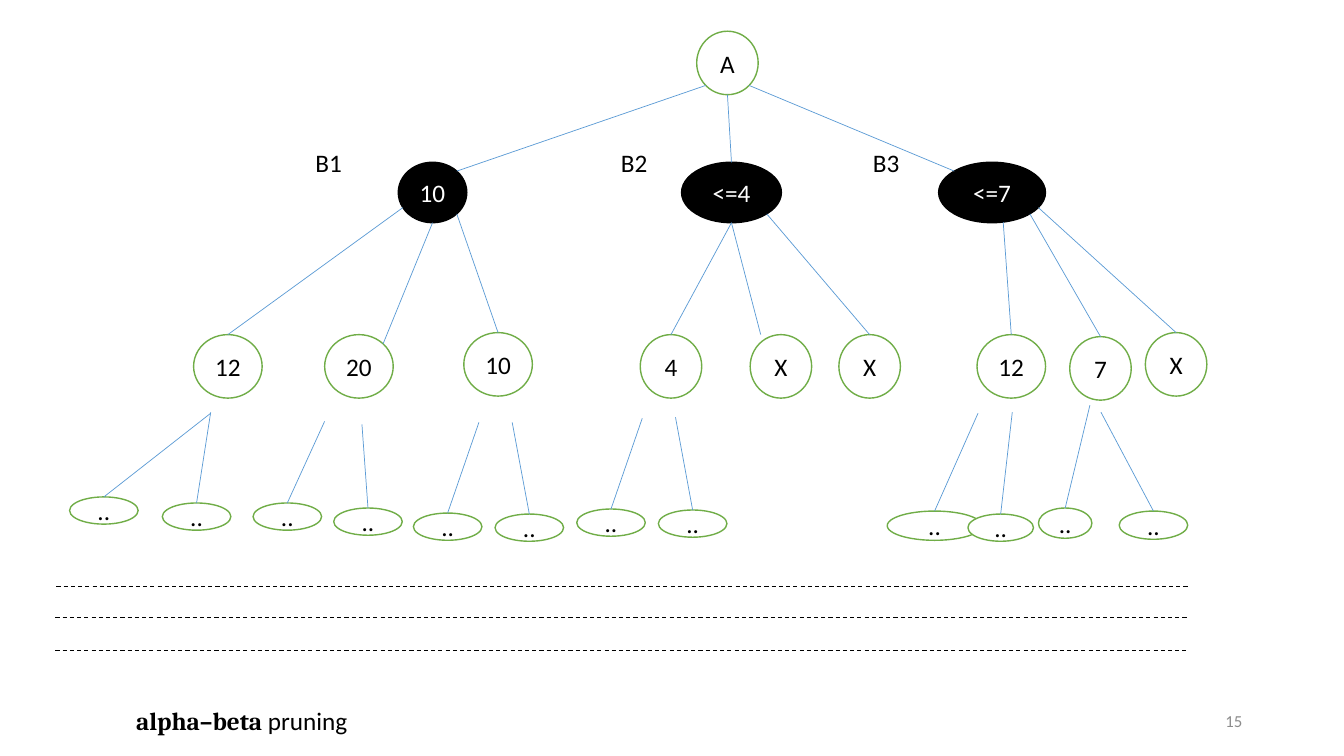
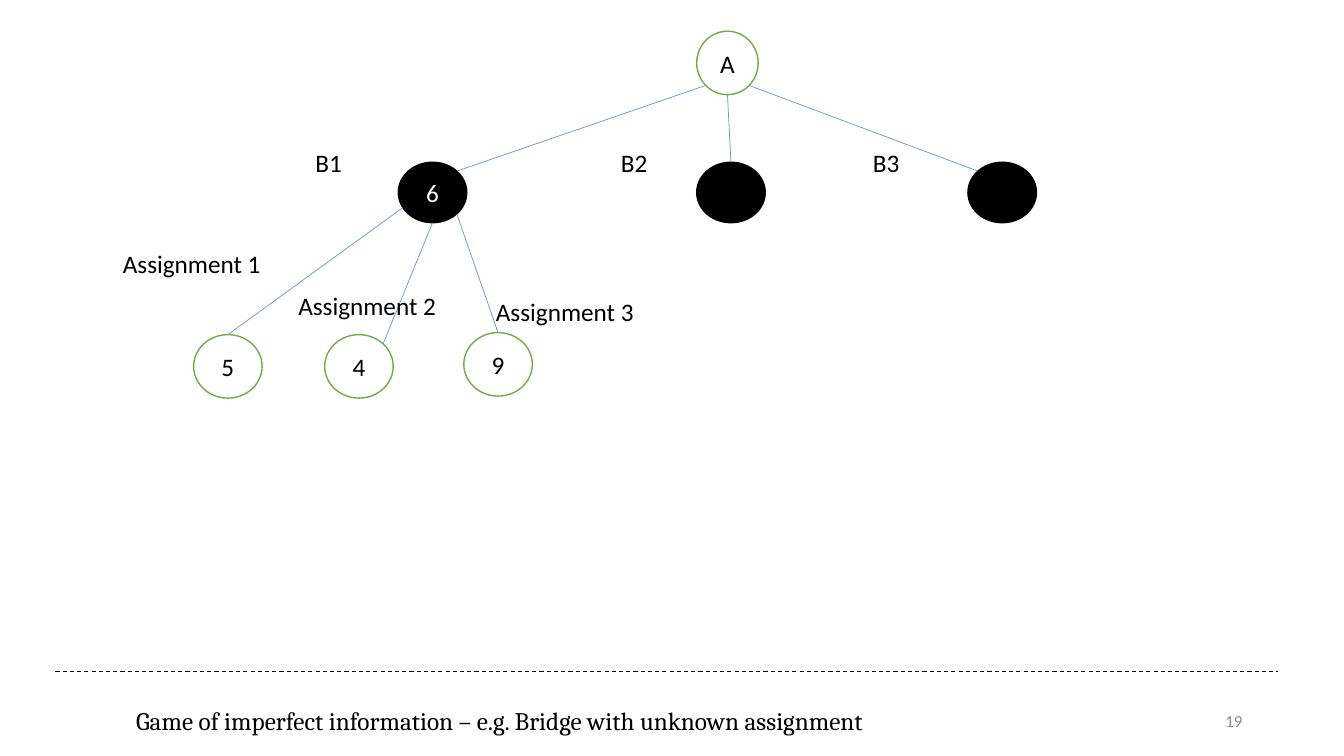
import math
from dataclasses import dataclass

import lxml.etree
import pptx
import pptx.dml.color
import pptx.enum.dml
import pptx.enum.shapes
import pptx.enum.text
import pptx.oxml.ns
import pptx.util
from pptx.util import Inches

BLACK = pptx.dml.color.RGBColor(0x00, 0x00, 0x00)
WHITE = pptx.dml.color.RGBColor(0xFF, 0xFF, 0xFF)
GREEN = pptx.dml.color.RGBColor(0x70, 0xAD, 0x47)
BLUE = pptx.dml.color.RGBColor(0x5B, 0x9B, 0xD5)
GREY = pptx.dml.color.RGBColor(0x8C, 0x8C, 0x8C)
SANS = "Calibri"
SERIF = "Cambria"
ALIGN = pptx.enum.text.PP_ALIGN
ANCHOR = pptx.enum.text.MSO_ANCHOR

ROOT_BOX = (6.91, 0.31, 0.61, 0.63)
BRANCH_TOP = 1.41
MIN_NODE_DROP = 0.2
MIN_NODE_HEIGHT = 0.6
CHILD_HEIGHT = 0.63
TEXT_HEIGHT = 0.4
FOOTER_TOP = 6.95

RIGHT_LOW, RIGHT, STRAIGHT, LEFT_LOW = 30, 45, 90, 150


@dataclass
class Child:
    text: str
    left: float
    drop: float
    width: float
    leave_angle: float
    end_shift: tuple = (0, 0)


@dataclass
class Branch:
    label: str
    left: float
    label_left: float
    node_text: str
    node_left: float
    node_width: float
    root_angle: float
    node_angle: float
    children: tuple = ()
    leaves: tuple = ()


def first_branch(value, child_values):
    first, second, third = child_values
    children = (
        Child(first, 0, 1.91, 0.68, LEFT_LOW),
        Child(second, 1.3, 1.91, 0.68, STRAIGHT, (0.24, 0.09)),
        Child(third, 2.68, 1.89, 0.68, RIGHT),
    )
    return Branch("B1", 1.92, 1.11, value, 2.03, 0.68, 135, 315, children)


def rim_point(box, angle):
    left, top, width, height = box
    radians = math.radians(angle)
    return (left + width / 2 * (1 + math.cos(radians)),
            top + height / 2 * (1 + math.sin(radians)))


def set_font(paragraph, name, size, color):
    paragraph.font.name = name
    paragraph.font.size = pptx.util.Pt(size)
    paragraph.font.color.rgb = color


def add_line(slide, start, end, color, width, dash=None):
    line = slide.shapes.add_connector(
        pptx.enum.shapes.MSO_CONNECTOR.STRAIGHT,
        *(Inches(value) for value in (*start, *end)))
    line.line.color.rgb = color
    line.line.width = pptx.util.Pt(width)
    if dash is not None:
        line.line.dash_style = dash
    lxml.etree.SubElement(line._element.spPr, pptx.oxml.ns.qn("a:effectLst"))


def add_edge(slide, start, end):
    add_line(slide, start, end, BLUE, 0.5)


def add_rule(slide, left, right, top):
    add_line(slide, (left, top), (right, top), BLACK, 0.75,
             pptx.enum.dml.MSO_LINE.DASH)


def add_node(slide, box, text, fill=WHITE, outline=GREEN, ink=BLACK):
    node = slide.shapes.add_shape(
        pptx.enum.shapes.MSO_SHAPE.OVAL, *(Inches(value) for value in box))
    node.shadow.inherit = False
    node.fill.solid()
    node.fill.fore_color.rgb = fill
    node.line.color.rgb = outline
    node.line.width = pptx.util.Pt(1)
    if text:
        node.text_frame.text = text
        paragraph = node.text_frame.paragraphs[0]
        paragraph.alignment = ALIGN.CENTER
        set_font(paragraph, SANS, 18, ink)


def add_label(slide, left, top, width, text, wrap=True):
    label = slide.shapes.add_textbox(
        Inches(left), Inches(top), Inches(width), Inches(TEXT_HEIGHT))
    label.text_frame.word_wrap = wrap
    label.text_frame.text = text
    set_font(label.text_frame.paragraphs[0], SANS, 18, BLACK)
    return label


def draw_branch(slide, left, top, branch):
    add_label(slide, left + branch.label_left, top, 0.48, branch.label)
    node_box = (left + branch.node_left, top + MIN_NODE_DROP,
                branch.node_width, MIN_NODE_HEIGHT)
    add_node(slide, node_box, branch.node_text, BLACK, BLACK, WHITE)
    add_edge(slide, rim_point(node_box, branch.node_angle),
             rim_point(ROOT_BOX, branch.root_angle))
    for child in branch.children:
        child_box = (left + child.left, top + child.drop,
                     child.width, CHILD_HEIGHT)
        add_node(slide, child_box, child.text)
        top_x, top_y = rim_point(child_box, 270)
        shift_x, shift_y = child.end_shift
        add_edge(slide, (top_x + shift_x, top_y + shift_y),
                 rim_point(node_box, child.leave_angle))
    for leaf_left, drop, width, height, stub_left, stub_drop in branch.leaves:
        leaf_box = (left + leaf_left, top + drop, width, height)
        add_node(slide, leaf_box, "..")
        add_edge(slide, rim_point(leaf_box, 270),
                 (left + stub_left, top + stub_drop))


def draw_tree(slide, branches):
    add_node(slide, ROOT_BOX, "A")
    for branch in branches:
        draw_branch(slide, branch.left, BRANCH_TOP, branch)


def draw_footer(slide, top, caption_width, caption_runs, number):
    caption = slide.shapes.title
    caption.left, caption.top = Inches(1.25), Inches(top)
    caption.width, caption.height = Inches(caption_width), Inches(TEXT_HEIGHT)
    frame = caption.text_frame
    frame.word_wrap = True
    frame.auto_size = pptx.enum.text.MSO_AUTO_SIZE.NONE
    frame.vertical_anchor = ANCHOR.TOP
    paragraph = frame.paragraphs[0]
    paragraph.alignment = ALIGN.LEFT
    set_font(paragraph, SERIF, 18, BLACK)
    for text, font_name, bold in caption_runs:
        run = paragraph.add_run()
        run.text = text
        run.font.name = font_name
        run.font.bold = bold

    page = add_label(slide, 9.42, top, 3, number)
    page.text_frame.vertical_anchor = ANCHOR.MIDDLE
    page_line = page.text_frame.paragraphs[0]
    page_line.alignment = ALIGN.RIGHT
    set_font(page_line, SANS, 12, GREY)


def add_tree_slide(deck, branches, rules, caption_width, caption_runs, number):
    slide = deck.slides.add_slide(deck.slide_layouts[5])
    draw_tree(slide, branches)
    for left, right, top in rules:
        add_rule(slide, left, right, top)
    draw_footer(slide, FOOTER_TOP, caption_width, caption_runs, number)
    return slide


def add_pruning_slide(deck):
    b1 = first_branch("10", ("12", "20", "10"))
    b1.leaves = (
        (-1.23, 3.52, 0.68, 0.27, 0.17, 2.69),
        (-0.31, 3.58, 0.68, 0.27, 0.17, 2.68),
        (0.59, 3.58, 0.68, 0.27, 1.3, 2.77),
        (1.39, 3.63, 0.68, 0.27, 1.67, 2.8),
        (2.18, 3.68, 0.68, 0.27, 2.83, 2.78),
        (2.99, 3.69, 0.68, 0.27, 3.16, 2.78),
    )
    b2 = Branch(
        "B2", 6.06, 0, "<=4", 0.7, 0.99, 90, 270,
        (Child("4", 0.29, 1.91, 0.61, STRAIGHT),
         Child("X", 1.38, 1.91, 0.61, STRAIGHT, (-0.2, 0)),
         Child("X", 2.26, 1.91, 0.61, RIGHT)),
        ((-0.34, 3.64, 0.68, 0.27, 0.31, 2.74),
         (0.47, 3.65, 0.68, 0.27, 0.64, 2.73)))
    b3 = Branch(
        "B3", 8.56, 0, "<=7", 0.75, 1.06, 45, 225,
        (Child("12", 1.13, 1.91, 0.68, 78),
         Child("7", 2.05, 1.93, 0.61, RIGHT),
         Child("X", 2.8, 1.89, 0.61, RIGHT_LOW)),
        ((0.24, 3.66, 0.94, 0.29, 1.14, 2.69),
         (1.04, 3.69, 0.65, 0.27, 1.48, 2.68),
         (1.74, 3.63, 0.53, 0.3, 2.25, 2.61),
         (2.54, 3.66, 0.68, 0.28, 2.36, 2.68)))
    rules = ((0.56, 11.8, 5.82), (0.55, 11.78, 6.13), (0.55, 11.76, 6.45))
    caption = (("alpha–beta", SERIF, True), (" pruning", SANS, False))
    add_tree_slide(deck, (b1, b2, b3), rules, 2.54, caption, "15")


def add_imperfect_information_slide(deck):
    branches = (
        first_branch("6", ("5", "4", "9")),
        Branch("B2", 6.06, 0, "", 0.85, 0.68, 90, 270),
        Branch("B3", 8.56, 0, "", 1.04, 0.68, 45, 225),
    )
    caption = (("Game of imperfect information – e.g. Bridge with unknown "
                "assignment", SERIF, False),)
    slide = add_tree_slide(
        deck, branches, ((0.55, 12.68, 6.66),), 7.78, caption, "19")
    assignment_spots = ((1.12, 2.41), (2.86, 2.83), (4.82, 2.89))
    for number, (left, top) in enumerate(assignment_spots, 1):
        add_label(slide, left, top, 1.58, f"Assignment {number}", wrap=False)


def main():
    deck = pptx.Presentation()
    deck.slide_width, deck.slide_height = Inches(13.33), Inches(7.5)
    add_pruning_slide(deck)
    add_imperfect_information_slide(deck)
    deck.save("out.pptx")


if __name__ == "__main__":
    main()
